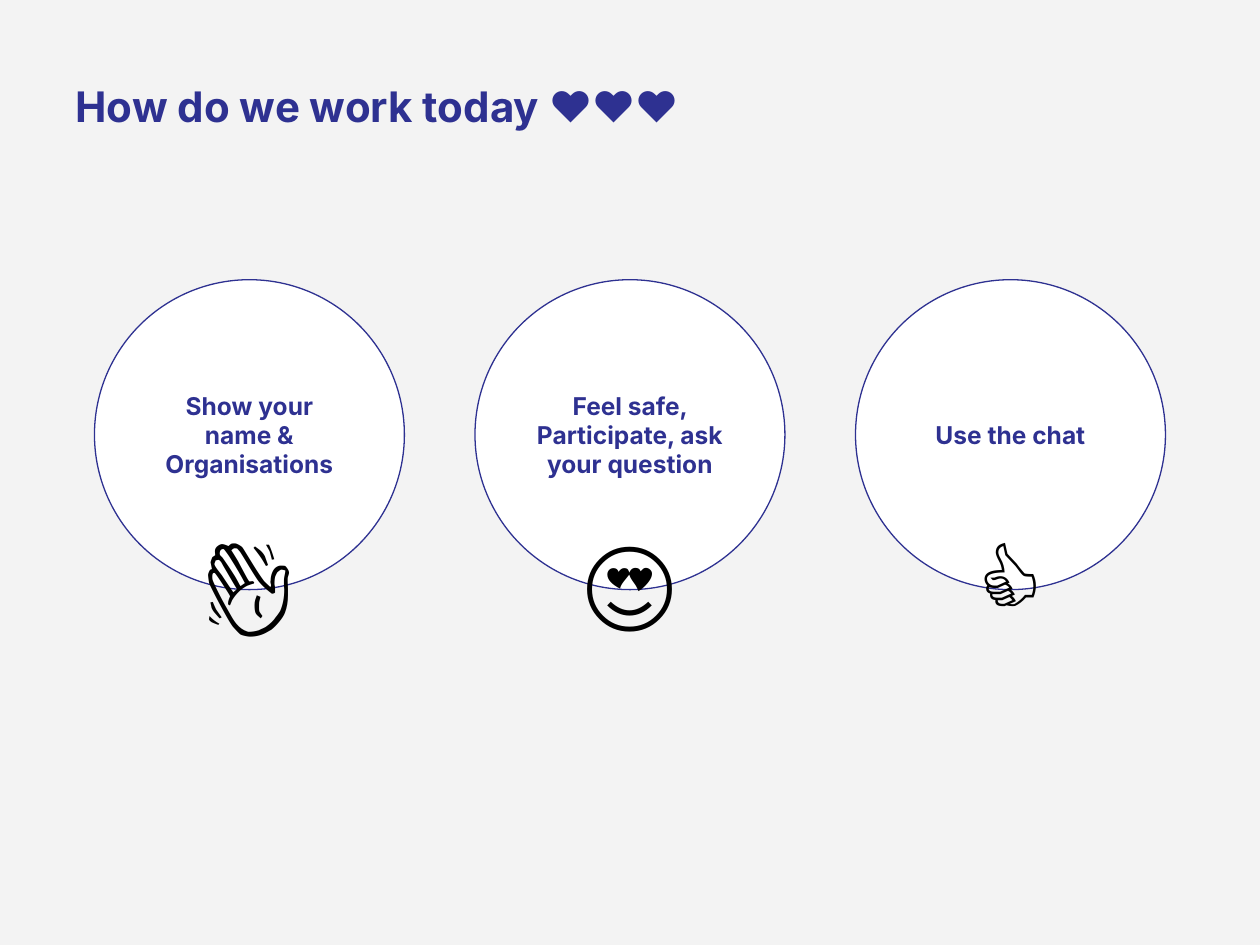
"""Build the slide with the three working agreements for today's session."""
from dataclasses import dataclass

from pptx import Presentation
from pptx.dml.color import RGBColor
from pptx.enum.shapes import MSO_SHAPE
from pptx.enum.text import MSO_ANCHOR, PP_ALIGN
from pptx.util import Inches, Pt


@dataclass(frozen=True)
class Theme:
    paper: RGBColor = RGBColor(0xF3, 0xF3, 0xF3)
    disc: RGBColor = RGBColor(0xFF, 0xFF, 0xFF)
    indigo: RGBColor = RGBColor(0x2E, 0x31, 0x91)
    black: RGBColor = RGBColor(0, 0, 0)
    font: str = "Inter"
    emoji_font: str = "Arial"
    heading_size: int = 24
    rule_size: int = 14
    emoji_size: int = 58


def write(shape, text, font_name, size, color, bold, align, anchor):
    frame = shape.text_frame
    frame.text = text
    frame.word_wrap = True
    frame.vertical_anchor = anchor
    frame.margin_left = frame.margin_right = Inches(0.1)
    frame.margin_top = frame.margin_bottom = Inches(0.1)
    paragraph = frame.paragraphs[0]
    paragraph.alignment = align
    paragraph.line_spacing = 1.0
    paragraph.space_before = Pt(0)
    font = paragraph.runs[0].font
    font.name = font_name
    font.size = Pt(size)
    font.bold = bold
    font.color.rgb = color


def add_circle(left, top):
    circle = slide.shapes.add_shape(
        MSO_SHAPE.OVAL, Inches(left), Inches(top), Inches(diameter), Inches(diameter))
    circle.shadow.inherit = False
    circle.fill.background()
    circle.line.fill.background()
    return circle


theme = Theme()
width, height = 10, 7.5
diameter = 2.46
margin = 0.75
pitch = (width - 2 * margin - diameter) / 2
rule_top, emoji_top = 2.22, 3.36

presentation = Presentation()
presentation.slide_width = Inches(width)
presentation.slide_height = Inches(height)
slide = presentation.slides.add_slide(presentation.slide_layouts[5])
slide.background.fill.solid()
slide.background.fill.fore_color.rgb = theme.paper

heading = slide.shapes.title
heading.left, heading.top = Inches(0.5), Inches(0.54)
heading.width, heading.height = Inches(7.28), Inches(0.42)
write(heading, "How do we work today ❤️❤️❤️", theme.font, theme.heading_size,
      theme.indigo, True, PP_ALIGN.LEFT, MSO_ANCHOR.TOP)

agreements = [
    ("Show your name & Organisations", "👋"),
    ("Feel safe, Participate, ask your question", "😍"),
    ("Use the chat", "👍"),
]

for column, (rule, emoji) in enumerate(agreements):
    left = margin + column * pitch

    agreement = add_circle(left, rule_top)
    agreement.fill.solid()
    agreement.fill.fore_color.rgb = theme.disc
    agreement.line.color.rgb = theme.indigo
    agreement.line.width = Pt(0.75)
    write(agreement, rule, theme.font, theme.rule_size, theme.indigo, True,
          PP_ALIGN.CENTER, MSO_ANCHOR.MIDDLE)

    reaction = add_circle(left, emoji_top)
    write(reaction, emoji, theme.emoji_font, theme.emoji_size, theme.black, False,
          PP_ALIGN.CENTER, MSO_ANCHOR.MIDDLE)

presentation.save("out.pptx")
